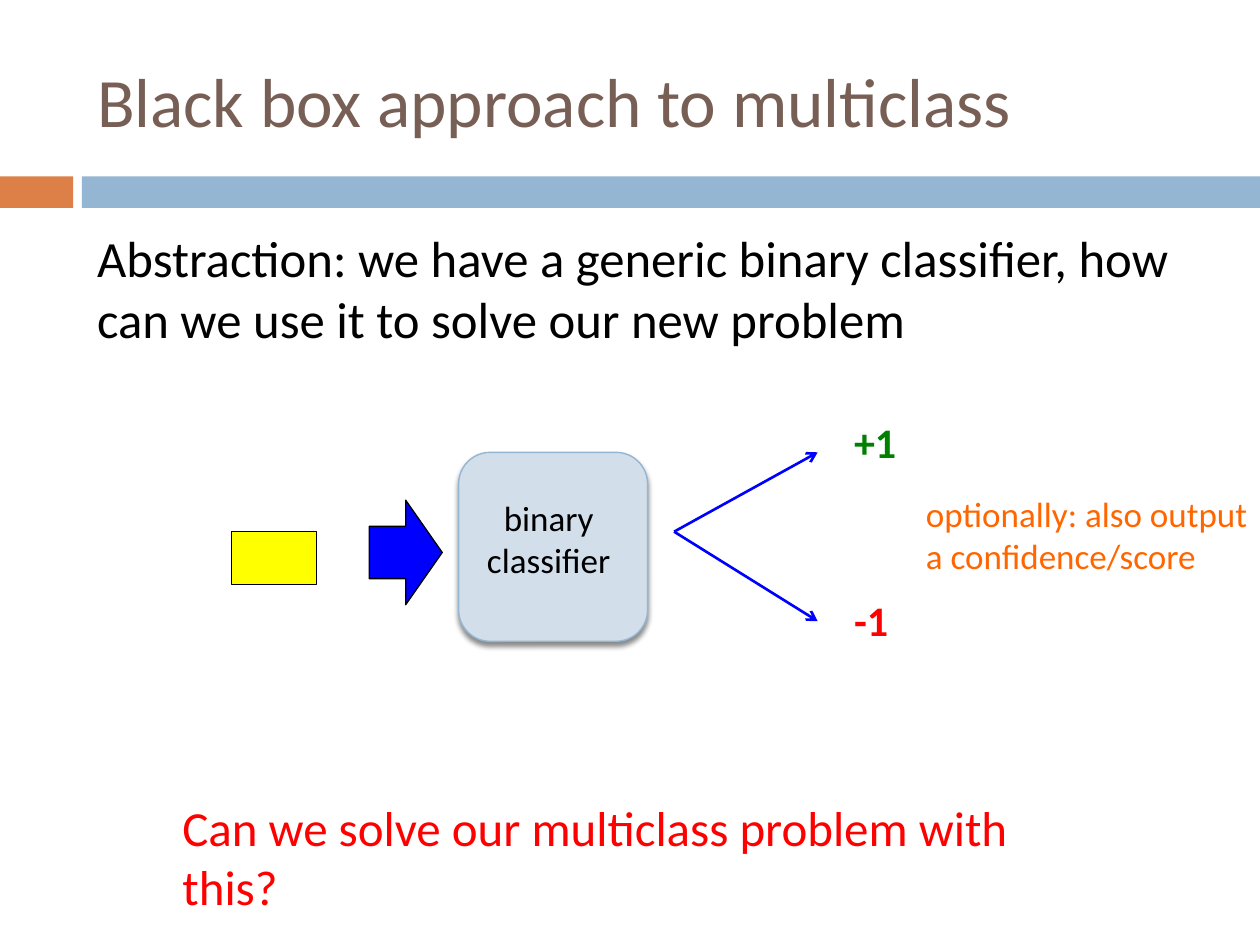
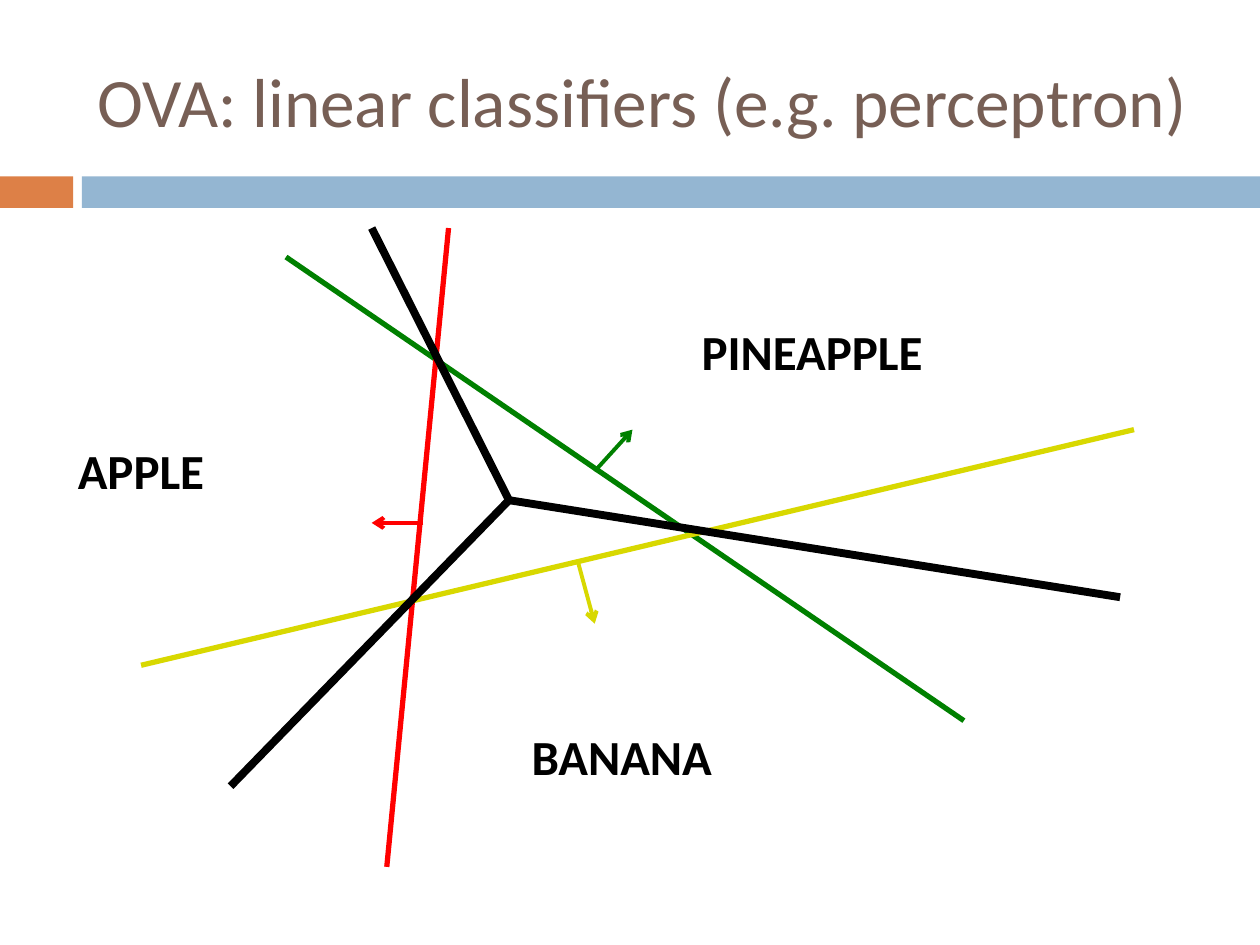
import pptx
import pptx.dml.color
import pptx.enum.shapes
import pptx.enum.text
import pptx.oxml
import pptx.oxml.ns
import pptx.util
from lxml import etree

Inches, Pt = pptx.util.Inches, pptx.util.Pt
RGB = pptx.dml.color.RGBColor.from_string
SHAPE = pptx.enum.shapes.MSO_SHAPE
ALIGN = pptx.enum.text.PP_ALIGN
ANCHOR = pptx.enum.text.MSO_ANCHOR
AUTO = pptx.enum.text.MSO_AUTO_SIZE
qn = pptx.oxml.ns.qn

COLORS = {
    "accent": "DD8047", "band": "94B6D2", "box": "D2DEEA", "title": "775F55",
    "black": "000000", "blue": "0000FF", "yellow": "FFFF00", "red": "FF0000",
    "green": "008000", "orange": "FF6600", "gold": "D8D800",
}


def write(sp, text, size, color, bold=False, align=ALIGN.LEFT, wrap=True,
          auto_size=AUTO.SHAPE_TO_FIT_TEXT, anchor=ANCHOR.TOP):
    tf = sp.text_frame
    frame_format = {"word_wrap": wrap, "auto_size": auto_size, "vertical_anchor": anchor}
    for name, value in frame_format.items():
        setattr(tf, name, value)
    p = tf.paragraphs[0]
    p.alignment = align
    r = p.add_run()
    r.text = text
    for name, value in {"name": "Calibri", "size": Pt(size), "bold": bold}.items():
        setattr(r.font, name, value)
    r.font.color.rgb = RGB(COLORS[color])
    return p


def add_line(s, start, end, color, width, arrow=False):
    line = s.shapes.add_connector(pptx.enum.shapes.MSO_CONNECTOR.STRAIGHT,
                                  *map(Inches, start + end))
    line.line.color.rgb = RGB(COLORS[color])
    line.line.width = Pt(width)
    if arrow:
        etree.SubElement(line.line._get_or_add_ln(), qn("a:tailEnd"), type="arrow")
    etree.SubElement(line._element.spPr, qn("a:effectLst"))


prs = pptx.Presentation()
prs.slide_width, prs.slide_height = Inches(10), Inches(7.5)

# Shared title and bands
slides = []
for layout, title in [(1, "Black box approach to multiclass"),
                      (5, "OVA: linear classifiers (e.g. perceptron)")]:
    s = prs.slides.add_slide(prs.slide_layouts[layout])
    slides.append(s)
    for left, width, color in [(0, 0.58, "accent"), (0.65, 9.35, "band")]:
        sp = s.shapes.add_shape(SHAPE.RECTANGLE, Inches(left), Inches(1.4),
                                Inches(width), Inches(0.25))
        sp.shadow.inherit = False
        sp.fill.solid()
        sp.fill.fore_color.rgb = RGB(COLORS[color])
        sp.line.fill.background()
    sp = s.shapes.title
    sp.left, sp.top, sp.width, sp.height = map(Inches, (0.67, 0.25, 8.92, 1.08))
    write(sp, title, 39.6, "title", auto_size=AUTO.NONE, anchor=ANCHOR.MIDDLE)
black_box, ova = slides

# Slide 1: a generic binary classifier
body = black_box.placeholders[1]
body.left, body.top, body.width, body.height = map(Inches, (0.67, 1.75, 8.92, 1.23))
p = write(body, "Abstraction: we have a generic binary classifier, how can we use it "
          "to solve our new problem", 29, "black", auto_size=AUTO.NONE)
p.space_before = Pt(7)
pPr = p._p.get_or_add_pPr()
pPr.set("marL", "0")
pPr.set("indent", "0")
etree.SubElement(pPr, qn("a:buNone"))

for kind, box, fill, outline, width in [
    (SHAPE.RECTANGLE, (1.84, 4.22, 0.67, 0.42), "yellow", "black", 0.75),
    (SHAPE.RIGHT_ARROW, (2.93, 3.97, 0.58, 0.83), "blue", "black", 0.75),
    (SHAPE.ROUNDED_RECTANGLE, (3.64, 3.59, 1.5, 1.5), "box", "band", 0.79),
]:
    sp = black_box.shapes.add_shape(kind, *map(Inches, box))
    sp.shadow.inherit = False
    sp.fill.solid()
    sp.fill.fore_color.rgb = RGB(COLORS[fill])
    sp.line.color.rgb = RGB(COLORS[outline])
    sp.line.width = Pt(width)

# The classifier box, last of the three, casts a soft shadow downwards
effects = sp._element.spPr.find(qn("a:effectLst"))
shadow = etree.SubElement(effects, qn("a:outerShdw"), blurRad=str(Pt(3)),
                          dist=str(Pt(2.4)), dir="5400000", rotWithShape="0")
shade = etree.SubElement(shadow, qn("a:srgbClr"), val=COLORS["black"])
etree.SubElement(shade, qn("a:alpha"), val="45000")

for end in [(6.49, 3.59), (6.49, 4.93)]:
    add_line(black_box, (5.35, 4.22), end, "blue", 1.5, arrow=True)

# Slide 2: one line per class, with an arrow to its positive side
center = (4.04, 3.97)
for color, start, end, foot, tip in [
    ("green", (2.27, 2.04), (7.65, 5.72), (4.72, 3.74), (5.02, 3.41)),
    ("red", (3.56, 1.81), (3.07, 6.88), (3.36, 4.15), (2.95, 4.15)),
    ("gold", (9, 3.41), (1.12, 5.28), (4.59, 4.47), (4.72, 4.95)),
]:
    add_line(ova, start, end, color, 3)
    add_line(ova, foot, tip, color, 2.25, arrow=True)
for end in [(2.95, 1.81), (8.89, 4.74), (1.83, 6.24)]:
    add_line(ova, center, end, "black", 4.5)

# Labels of both slides
output = {"size": 24, "bold": True, "wrap": False}
fruit = {"size": 28, "color": "black", "bold": True, "wrap": False}
for s, text, box, style in [
    (black_box, "binary classifier", (3.57, 3.89, 1.57, 0.77),
     {"size": 20, "color": "black", "align": ALIGN.CENTER}),
    (black_box, "+1", (6.68, 3.26, 0.61, 0.5), {**output, "color": "green"}),
    (black_box, "-1", (6.68, 4.67, 0.49, 0.5), {**output, "color": "red"}),
    (black_box, "optionally: also output a confidence/score", (7.25, 3.86, 2.85, 0.77),
     {"size": 20, "color": "orange"}),
    (black_box, "Can we solve our multiclass problem with this?", (1.35, 6.28, 7.34, 0.57),
     {"size": 28, "color": "red"}),
    (ova, "BANANA", (4.12, 5.72, 1.75, 0.57), fruit),
    (ova, "APPLE", (0.52, 3.45, 1.24, 0.57), fruit),
    (ova, "PINEAPPLE", (5.47, 2.5, 2.01, 0.57), fruit),
]:
    write(s.shapes.add_textbox(*map(Inches, box)), text, **style)

prs.save("out.pptx")
